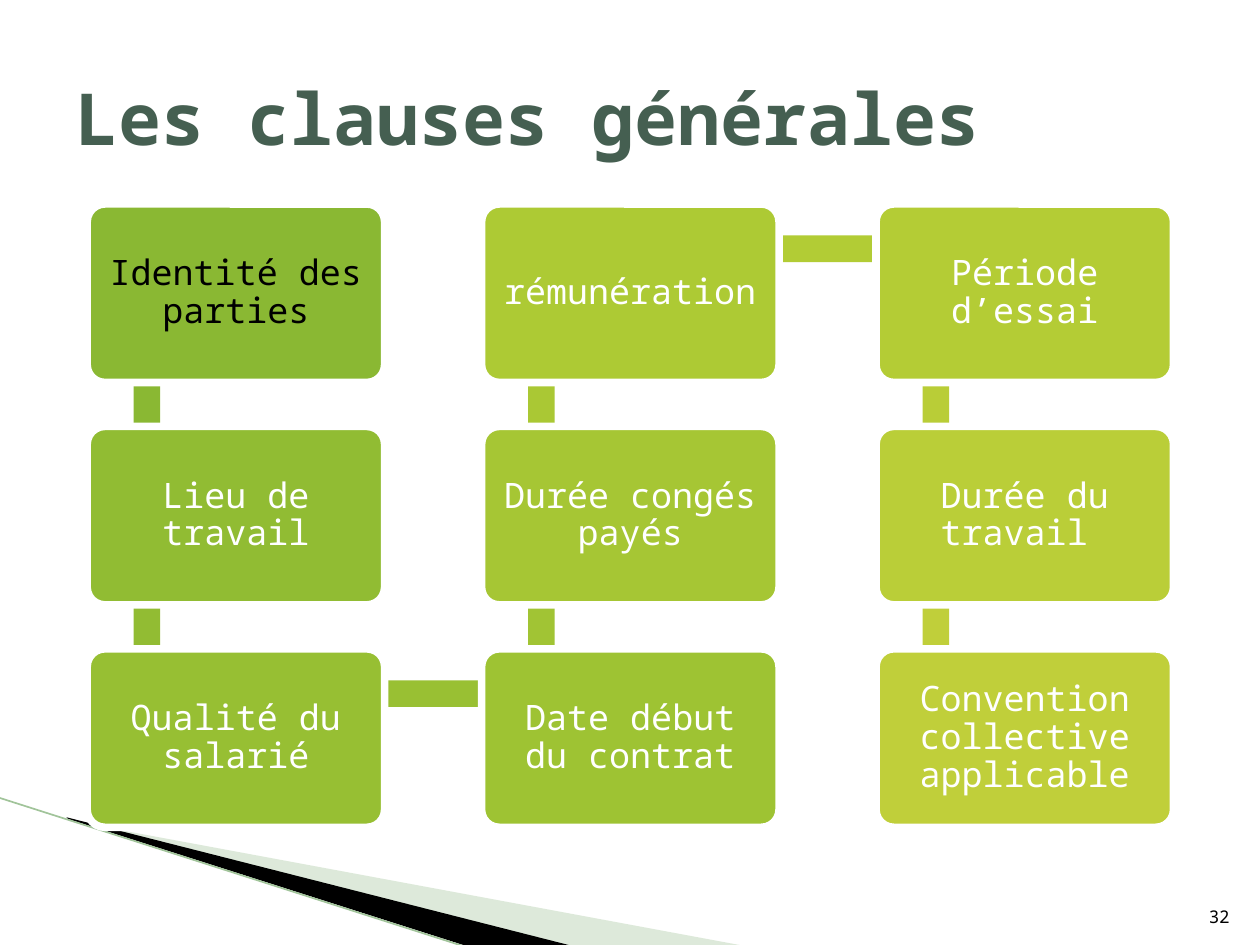
from typing import NamedTuple

from lxml import etree
from pptx import Presentation
from pptx.dml.color import RGBColor
from pptx.enum.shapes import MSO_CONNECTOR as Connector, MSO_SHAPE as Shape
from pptx.enum.text import MSO_ANCHOR as Anchor, PP_ALIGN as Align
from pptx.oxml.ns import qn
from pptx.util import Pt

FONT = "Noto Sans Mono"
COLORS = {
    "white": "FFFFFF",
    "black": "000000",
    "title": "455F51",
    "wedge": "AACAA3",
    "edge": "A1C49A",
}

# Grid of clauses, in points
LEFT, TOP = 49.8, 116.6
COLUMN_STEP, ROW_STEP = 225.4, 127.1
BOX_WIDTH, BOX_HEIGHT = 170, 102
ANCHOR_X, ANCHOR_Y = 34.2, 25.6
LINK_THICKNESS = 15.2


class Clause(NamedTuple):
    text: str
    column: int
    row: int
    fill: str
    link_fill: str = ""
    text_color: str = COLORS["white"]

    @property
    def left(self) -> float:
        return LEFT + self.column * COLUMN_STEP

    @property
    def top(self) -> float:
        return TOP + self.row * ROW_STEP


# The path snakes down, up and down again
CLAUSES = [
    Clause("Identité des parties", 0, 0, "8AB833", "8AB833", COLORS["black"]),
    Clause("Lieu de travail", 0, 1, "91BC33", "92BC33"),
    Clause("Qualité du salarié", 0, 2, "97BF33", "99C033"),
    Clause("Date début du contrat", 1, 2, "9EC333", "A1C434"),
    Clause("Durée congés payés", 1, 1, "A6C634", "AAC834"),
    Clause("rémunération", 1, 0, "ADCA34", "B2CC35"),
    Clause("Période d’essai", 2, 0, "B4CC35", "B9CD37"),
    Clause("Durée du travail ", 2, 1, "BACE38", "C0CF3A"),
    Clause("Convention collective applicable", 2, 2, "C0CF3A"),
]


def paint(shape, color: str) -> None:
    shape.shadow.inherit = False
    shape.fill.solid()
    shape.fill.fore_color.rgb = RGBColor.from_string(color)
    shape.line.fill.background()


def write(shape, text: str, size: float, color: str, align: Align,
          anchor: Anchor, bold: bool = False):
    frame = shape.text_frame
    frame.text = text
    frame.word_wrap = True
    frame.vertical_anchor = anchor
    paragraph = frame.paragraphs[0]
    paragraph.alignment = align
    font = paragraph.runs[0].font
    font.name, font.size, font.bold = FONT, Pt(size), bold
    font.color.rgb = RGBColor.from_string(color)
    return frame


def draw_wedge(slide, points: list[tuple[float, float]], color: str):
    builder = slide.shapes.build_freeform(*points[0], scale=Pt(1))
    builder.add_line_segments(points[1:], close=True)
    wedge = builder.convert_to_shape()
    paint(wedge, color)
    return wedge


def draw_link(slide, start: Clause, end: Clause) -> None:
    left, top = min(start.left, end.left), min(start.top, end.top)
    width = abs(end.left - start.left)
    height = abs(end.top - start.top)
    x, y = left + ANCHOR_X, top + ANCHOR_Y
    if width:
        y, height = y - LINK_THICKNESS / 2, LINK_THICKNESS
    else:
        x, width = x - LINK_THICKNESS / 2, LINK_THICKNESS
    link = slide.shapes.add_shape(Shape.RECTANGLE, Pt(x), Pt(y), Pt(width), Pt(height))
    paint(link, start.link_fill)


def draw_box(slide, clause: Clause) -> None:
    box = slide.shapes.add_shape(Shape.ROUNDED_RECTANGLE, Pt(clause.left), Pt(clause.top),
                                 Pt(BOX_WIDTH), Pt(BOX_HEIGHT))
    box.adjustments[0] = 0.1
    paint(box, clause.fill)
    box.line.color.rgb = RGBColor.from_string(COLORS["white"])
    box.line.width = Pt(4.33)
    frame = write(box, clause.text, 20, clause.text_color, Align.CENTER, Anchor.MIDDLE)
    frame.margin_left = frame.margin_right = Pt(6)
    frame.margin_top = frame.margin_bottom = Pt(6)
    frame.paragraphs[0].line_spacing = 0.9


def draw_decoration(slide) -> None:
    pale = draw_wedge(slide, [(39.6, 468.7), (428.4, 540.7), (328.3, 540.7), (39.6, 468)],
                      COLORS["wedge"])
    color_element = pale.fill._xPr.find(qn("a:solidFill"))[0]
    etree.SubElement(color_element, qn("a:alpha")).set("val", "40000")
    draw_wedge(slide, [(38.2, 467.3), (329, 540.7), (267.8, 541.4), (38.9, 468)],
               COLORS["black"])
    edge = slide.shapes.add_connector(Connector.STRAIGHT, Pt(-0.7), Pt(455.8),
                                      Pt(267.1), Pt(541.4))
    edge.line.color.rgb = RGBColor.from_string(COLORS["edge"])
    edge.line.width = Pt(0.95)
    etree.SubElement(edge._element.spPr, qn("a:effectLst"))


def main() -> None:
    presentation = Presentation()
    presentation.slide_width, presentation.slide_height = Pt(720), Pt(540)
    slide = presentation.slides.add_slide(presentation.slide_layouts[6])

    # Corner decoration
    draw_decoration(slide)

    # Each link lies under the boxes it joins
    for clause, following in zip(CLAUSES, CLAUSES[1:] + [None]):
        if following:
            draw_link(slide, clause, following)
        draw_box(slide, clause)

    # Title and page number
    title = slide.shapes.add_textbox(Pt(36), Pt(21.6), Pt(648), Pt(90))
    write(title, "Les clauses générales", 41, COLORS["title"], Align.LEFT,
          Anchor.MIDDLE, bold=True)
    number = slide.shapes.add_textbox(Pt(681), Pt(504.7), Pt(28.8), Pt(28.8))
    write(number, "32", 10, COLORS["black"], Align.RIGHT, Anchor.BOTTOM)

    presentation.save("out.pptx")


if __name__ == "__main__":
    main()
